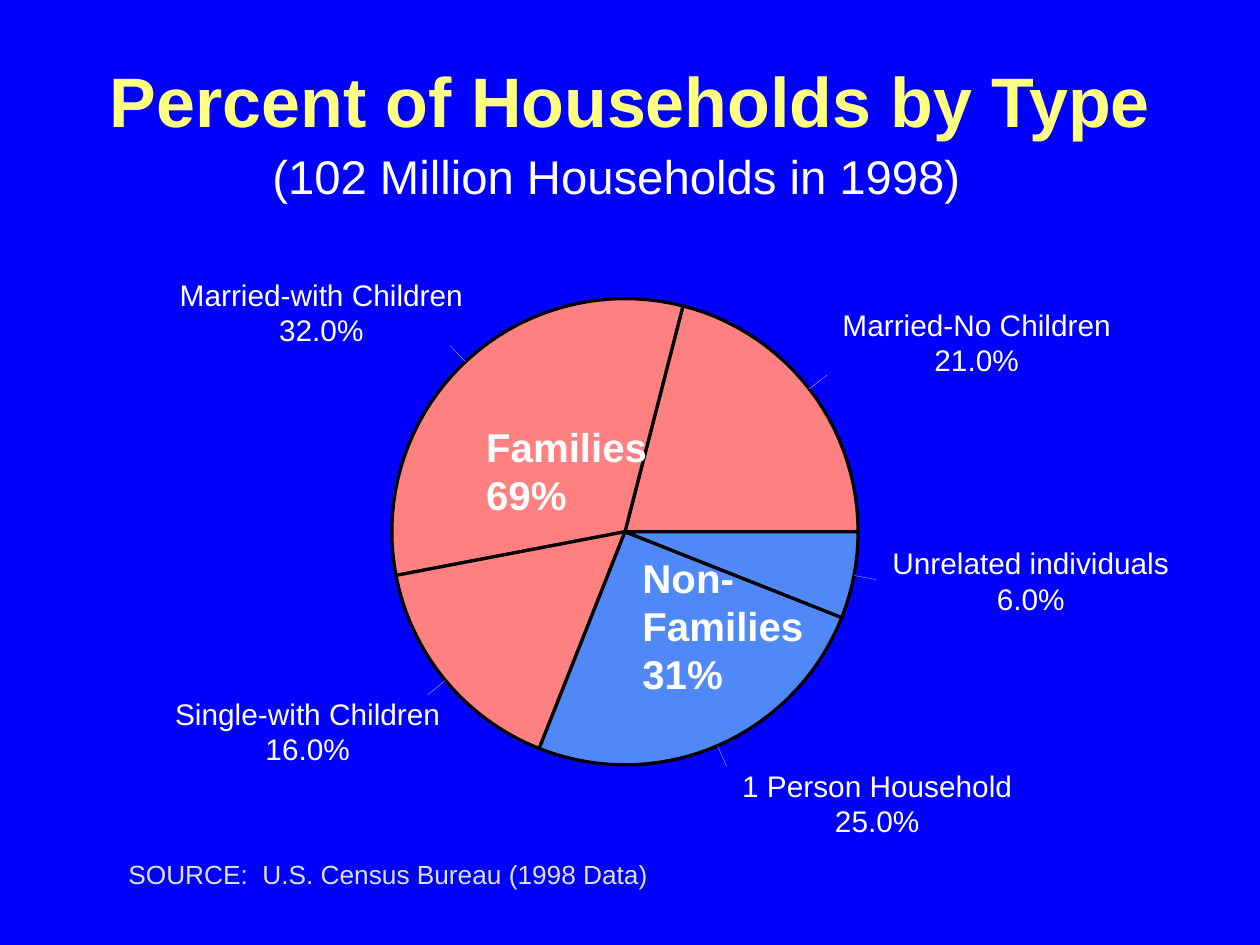
import math

from pptx import Presentation
from pptx import util as u
from pptx.dml.color import RGBColor
from pptx.enum import shapes, text
from pptx.oxml.ns import qn
from lxml import etree

BLUE = RGBColor(0x00, 0x00, 0xFF)
YELLOW = RGBColor(0xFF, 0xFF, 0x80)
WHITE = RGBColor(0xFF, 0xFF, 0xFF)
GREY = RGBColor(0xDF, 0xDF, 0xDF)
BLACK = RGBColor(0x00, 0x00, 0x00)
FAMILY = RGBColor(0xFF, 0x80, 0x80)
NON_FAMILY = RGBColor(0x50, 0x88, 0xF7)
FONT = "Arial"

# Name, percent, fill, label offset from the pie box and label width in cm
SLICES = [
    ("Married-No Children", 21, FAMILY, 8.89, 0.16, 5.8),
    ("Married-with Children", 32, FAMILY, -4.47, -0.45, 6.1),
    ("Single-with Children", 16, FAMILY, -4.57, 8, 5.75),
    ("1 Person Household", 25, NON_FAMILY, 6.86, 9.45, 5.85),
    ("Unrelated individuals", 6, NON_FAMILY, 9.88, 4.97, 6),
]
# Lines, offset from the pie box in cm
GROUPS = [
    (["Families", "69%"], 1.9, 2.49),
    (["Non-", "Families", "31%"], 5.05, 5.13),
]


def add_span(para, words, size, colour, bold=False):
    span = para.add_run()
    span.text = words
    span.font.name = FONT
    span.font.size = u.Pt(size)
    span.font.bold = bold
    span.font.color.rgb = colour


def add_lines(page, left, top, width, lines, size, colour=WHITE, bold=False,
              align=text.PP_ALIGN.LEFT):
    height = len(lines) * size * 0.041
    box = page.shapes.add_textbox(u.Cm(left), u.Cm(top), u.Cm(width), u.Cm(height))
    frame = box.text_frame
    frame.word_wrap = True
    frame.margin_left = frame.margin_right = frame.margin_top = frame.margin_bottom = 0
    for index, words in enumerate(lines):
        para = frame.paragraphs[0] if index == 0 else frame.add_paragraph()
        para.alignment = align
        add_span(para, words, size, colour, bold)


def add_heading(page, left, top, width):
    # The deep bottom margin lifts the title clear of the subtitle
    title = page.shapes.title
    title.left, title.top = u.Cm(left), u.Cm(top)
    title.width, title.height = u.Cm(width), u.Cm(2.34)
    frame = title.text_frame
    frame.auto_size = text.MSO_AUTO_SIZE.NONE
    frame.vertical_anchor = text.MSO_ANCHOR.MIDDLE
    frame.margin_bottom = u.Cm(1.84)
    para = frame.paragraphs[0]
    para.alignment = text.PP_ALIGN.CENTER
    add_span(para, "Percent of Households by Type", 40, YELLOW, bold=True)

    add_lines(page, left + 3.59, top + 1.27, 14.4,
              ["(102 Million Households in 1998)"], 27)


def rim_point(centre_x, centre_y, radius, degrees):
    angle = math.radians(degrees)
    return (u.Cm(centre_x + radius * math.cos(angle)),
            u.Cm(centre_y - radius * math.sin(angle)))


def add_slice(page, centre_x, centre_y, radius, start, sweep, fill):
    steps = math.ceil(sweep / 3)
    rim = [rim_point(centre_x, centre_y, radius, start + sweep * step / steps)
           for step in range(steps + 1)]
    builder = page.shapes.build_freeform(u.Cm(centre_x), u.Cm(centre_y))
    builder.add_line_segments(rim, close=True)
    wedge = builder.convert_to_shape()
    wedge.shadow.inherit = False
    wedge.fill.solid()
    wedge.fill.fore_color.rgb = fill
    wedge.line.color.rgb = BLACK
    wedge.line.width = u.Pt(1.87)


def add_leader(page, centre_x, centre_y, radius, degrees):
    leader = page.shapes.add_connector(
        shapes.MSO_CONNECTOR.STRAIGHT,
        *rim_point(centre_x, centre_y, radius, degrees),
        *rim_point(centre_x, centre_y, radius + 0.46, degrees))
    leader.line.color.rgb = WHITE
    leader.line.width = u.Pt(0.1)
    etree.SubElement(leader._element.spPr, qn("a:effectLst"))


def add_pie(page, left, top, size):
    radius = size / 2
    centre = left + radius, top + radius

    # Slices run anticlockwise from the right-hand side
    start = 0
    for name, percent, fill, label_x, label_y, label_width in SLICES:
        sweep = percent * 3.6
        add_slice(page, *centre, radius, start, sweep, fill)
        add_leader(page, *centre, radius, start + sweep / 2)
        add_lines(page, left + label_x, top + label_y, label_width,
                  [name, f"{percent:.1f}%"], 17, align=text.PP_ALIGN.CENTER)
        start += sweep

    # Group totals on top of the slices
    for lines, group_x, group_y in GROUPS:
        add_lines(page, left + group_x, top + group_y, 3.6, lines, 23, bold=True)


def main():
    deck = Presentation()
    deck.slide_width, deck.slide_height = u.Cm(25.4), u.Cm(19.05)
    page = deck.slides.add_slide(deck.slide_layouts[5])
    page.background.fill.solid()
    page.background.fill.fore_color.rgb = BLUE

    add_heading(page, 1.9, 1.7, 21.6)
    add_pie(page, 7.9, 6.02, 9.4)
    # Source line
    add_lines(page, 2.59, 17.3, 11,
              ["SOURCE:  U.S. Census Bureau (1998 Data)"], 15, GREY)
    deck.save("out.pptx")


if __name__ == "__main__":
    main()
